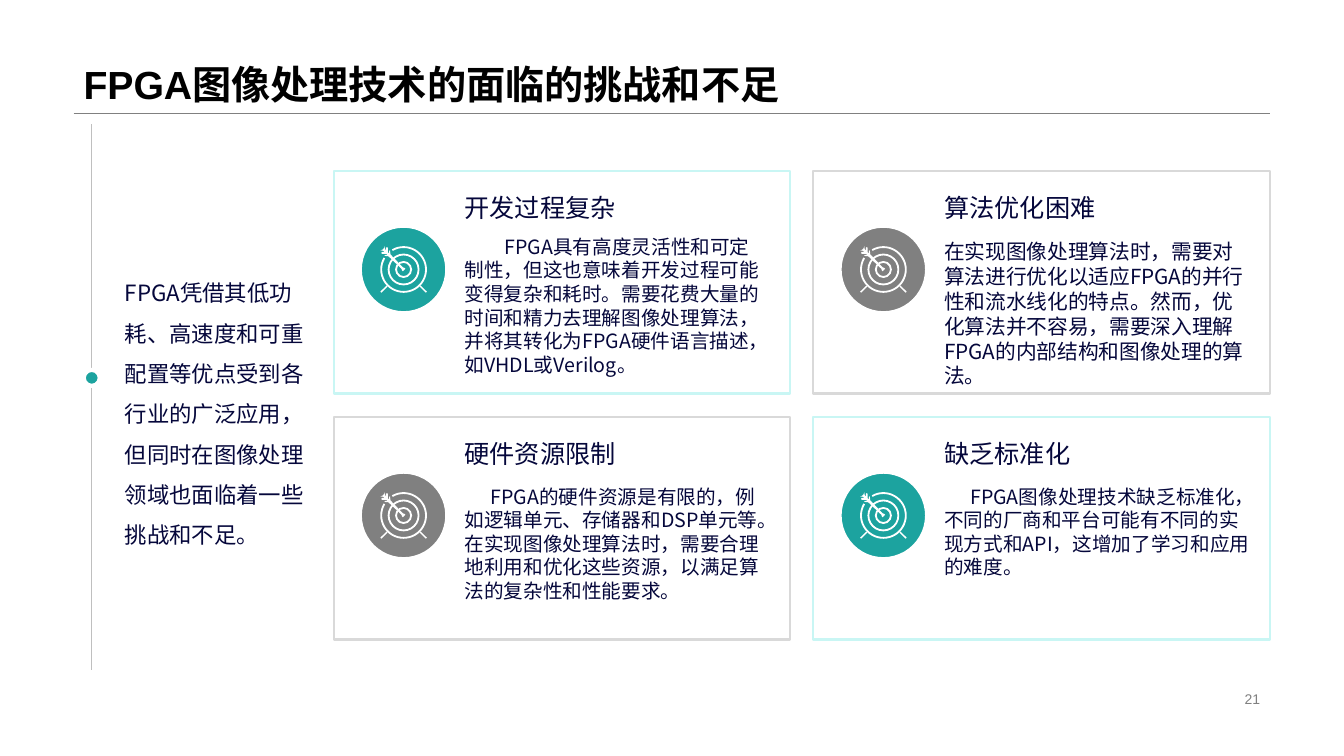
"""Build the slide on the challenges of FPGA image processing."""
from dataclasses import dataclass

from pptx import Presentation
from pptx.dml.color import RGBColor
from pptx.enum.shapes import MSO_CONNECTOR, MSO_SHAPE
from pptx.enum.text import MSO_ANCHOR, PP_ALIGN
from pptx.oxml.ns import qn
from pptx.slide import Slide
from pptx.util import Pt

RECTANGLE, OVAL, ARC = MSO_SHAPE.RECTANGLE, MSO_SHAPE.OVAL, MSO_SHAPE.ARC
STRAIGHT = MSO_CONNECTOR.STRAIGHT
TOP, MIDDLE, BOTTOM = MSO_ANCHOR.TOP, MSO_ANCHOR.MIDDLE, MSO_ANCHOR.BOTTOM
LEFT, RIGHT = PP_ALIGN.LEFT, PP_ALIGN.RIGHT

Point = tuple[float, float]


@dataclass(frozen=True)
class Theme:
    latin: str = "Arial"
    chinese: str = "Noto Sans CJK SC"
    white: str = "FFFFFF"
    black: str = "000000"
    navy: str = "05073B"
    teal: str = "1CA39F"
    mint: str = "C9F6F4"
    gray: str = "808080"
    silver: str = "D9D9D9"
    rail: str = "BFBFBF"
    title_size: float = 28
    heading_size: float = 18
    intro_size: float = 16
    body_size: float = 14
    large_body_size: float = 14.8
    number_size: float = 10


@dataclass(frozen=True)
class TextStyle:
    font: str
    size: float
    color: str
    bold: bool = False
    spacing: float | Pt = 1.0
    indent: float = 0
    align: PP_ALIGN = LEFT
    anchor: MSO_ANCHOR = TOP


@dataclass(frozen=True)
class Card:
    column: int
    row: int
    heading: str
    body: str
    accent: str
    border: str
    body_size: float
    body_top: float
    indent: float


@dataclass(frozen=True)
class Ring:
    radius: float
    start: float
    end: float


THEME = Theme()
CARD_LEFT, CARD_TOP = 238.3, 122.1
CARD_WIDTH, CARD_HEIGHT = 326, 159
COLUMN_STEP, ROW_STEP = 342.7, 175.7
TEXT_OFFSET = 86.4
BADGE_SIZE = 62.6

CARDS = [
    Card(0, 0, "开发过程复杂",
         "FPGA具有高度灵活性和可定制性，但这也意味着开发过程可能变得复杂和耗时。需要花费大量的时间和精力"
         "去理解图像处理算法，并将其转化为FPGA硬件语言描述，如VHDL或Verilog。",
         THEME.teal, THEME.mint, THEME.body_size, 42.1, 28.6),
    Card(1, 0, "算法优化困难",
         "在实现图像处理算法时，需要对算法进行优化以适应FPGA的并行性和流水线化的特点。然而，优化算法并不容易，"
         "需要深入理解FPGA的内部结构和图像处理的算法。",
         THEME.gray, THEME.silver, THEME.large_body_size, 44.9, 0),
    Card(0, 1, "硬件资源限制",
         "FPGA的硬件资源是有限的，例如逻辑单元、存储器和DSP单元等。在实现图像处理算法时，需要合理地利用和优化"
         "这些资源，以满足算法的复杂性和性能要求。",
         THEME.gray, THEME.silver, THEME.body_size, 44.9, 18.6),
    Card(1, 1, "缺乏标准化",
         "FPGA图像处理技术缺乏标准化，不同的厂商和平台可能有不同的实现方式和API，这增加了学习和应用的难度。",
         THEME.teal, THEME.mint, THEME.body_size, 44.9, 18.6),
]

RINGS = [Ring(16, 240, 211), Ring(10.7, 229, 221), Ring(5.4, 233, 217)]
ARROW_HALF: list[Point] = [
    (-14.1, -15.1), (-13.7, -16.6), (-13.3, -14.4), (-12.6, -13.7), (-12.6, -15.5),
    (-11.9, -15.9), (-11.2, -15.5), (-11.2, -12.2), (-10.4, -11.5), (-10.4, -13.3),
    (-9.7, -13.7), (-9.4, -10.8), (-0.5, -1.5), (0.5, -1.2), (1.3, -0.5),
]
RIGHT_LEG: list[Point] = [(11.5, 12.2), (12.2, 11.5), (16.6, 15.8), (15.9, 16.6)]


def chinese_style(size: float, indent: float = 0, lines: float = 1) -> TextStyle:
    return TextStyle(THEME.chinese, size, THEME.navy, spacing=Pt(size * 1.2 * lines), indent=indent)


def add_text(slide: Slide, text: str, left: float, top: float, width: float,
             height: float, style: TextStyle) -> None:
    box = slide.shapes.add_textbox(Pt(left), Pt(top), Pt(width), Pt(height))
    frame = box.text_frame
    frame.text = text
    frame.word_wrap = True
    frame.vertical_anchor = style.anchor
    para = frame.paragraphs[0]
    para.alignment = style.align
    para.line_spacing = style.spacing
    if style.indent:
        para._p.get_or_add_pPr().set("indent", str(Pt(style.indent)))
    span = para.runs[0]
    span.font.name = style.font
    span.font.size = Pt(style.size)
    span.font.bold = style.bold
    span.font.color.rgb = RGBColor.from_string(style.color)
    properties = span._r.get_or_add_rPr()
    properties.set("lang", "zh-CN")
    east_asian = properties.makeelement(qn("a:ea"), {"typeface": style.font})
    properties.find(qn("a:latin")).addnext(east_asian)


def add_box(slide: Slide, kind: MSO_SHAPE, left: float, top: float, width: float,
            height: float, fill: str, border: str, weight: float) -> None:
    shape = slide.shapes.add_shape(kind, Pt(left), Pt(top), Pt(width), Pt(height))
    shape.shadow.inherit = False
    shape.fill.solid()
    shape.fill.fore_color.rgb = RGBColor.from_string(fill)
    shape.line.color.rgb = RGBColor.from_string(border)
    shape.line.width = Pt(weight)


def add_rule(slide: Slide, start: Point, end: Point, color: str) -> None:
    rule = slide.shapes.add_connector(STRAIGHT, *(Pt(value) for value in start + end))
    rule.line.color.rgb = RGBColor.from_string(color)
    rule.line.width = Pt(0.25)
    properties = rule._element.spPr
    properties.append(properties.makeelement(qn("a:effectLst"), {}))


def add_ring(slide: Slide, ring: Ring, center_x: float, center_y: float) -> None:
    size = Pt(2 * ring.radius)
    shape = slide.shapes.add_shape(ARC, Pt(center_x - ring.radius), Pt(center_y - ring.radius),
                                   size, size)
    shape.adjustments[0] = ring.start * 0.6
    shape.adjustments[1] = ring.end * 0.6
    shape.shadow.inherit = False
    shape.fill.background()
    shape.line.color.rgb = RGBColor.from_string(THEME.white)
    shape.line.width = Pt(1.3)


def add_target(slide: Slide, center_x: float, center_y: float) -> None:
    for ring in RINGS:
        add_ring(slide, ring, center_x, center_y)
    arrow = ARROW_HALF + [(y, x) for x, y in reversed(ARROW_HALF)]
    left_leg = [(-x, y) for x, y in RIGHT_LEG]
    contours = [[(Pt(center_x + x), Pt(center_y + y)) for x, y in contour]
                for contour in (arrow, RIGHT_LEG, left_leg)]
    builder = slide.shapes.build_freeform(*contours[0][0], scale=1.0)
    for index, contour in enumerate(contours):
        if index:
            builder.move_to(*contour[0])
        builder.add_line_segments(contour[1:], close=True)
    shape = builder.convert_to_shape()
    shape.shadow.inherit = False
    shape.fill.solid()
    shape.fill.fore_color.rgb = RGBColor.from_string(THEME.white)
    shape.line.fill.background()


def add_card(slide: Slide, card: Card) -> None:
    left = CARD_LEFT + card.column * COLUMN_STEP
    top = CARD_TOP + card.row * ROW_STEP
    badge_left, badge_top = left + 18.7, top + 39.1
    add_box(slide, RECTANGLE, left, top, CARD_WIDTH, CARD_HEIGHT, THEME.white, card.border, 1.5)
    add_box(slide, OVAL, badge_left, badge_top, BADGE_SIZE, BADGE_SIZE, card.accent, THEME.white, 3)
    add_target(slide, badge_left + BADGE_SIZE / 2, badge_top + BADGE_SIZE / 2)
    add_text(slide, card.body, left + TEXT_OFFSET, top + card.body_top, 229 + 3.6 * card.column,
             106, chinese_style(card.body_size, card.indent))
    add_text(slide, card.heading, left + TEXT_OFFSET, top + 11.8, 239.6, 34,
             chinese_style(THEME.heading_size))


def main() -> None:
    deck = Presentation()
    deck.slide_width, deck.slide_height = Pt(960), Pt(540)
    page = deck.slides.add_slide(deck.slide_layouts[6])
    add_rule(page, (52.6, 80.8), (907.2, 80.8), THEME.gray)
    add_text(page, "FPGA图像处理技术的面临的挑战和不足", 52.6, 0, 854.6, 80.8,
             TextStyle(THEME.latin, THEME.title_size, THEME.black, True, 0.9, anchor=BOTTOM))
    add_text(page, "21", 678.2, 491, 229, 16.6,
             TextStyle(THEME.latin, THEME.number_size, THEME.gray, align=RIGHT, anchor=MIDDLE))
    for card in CARDS:
        add_card(page, card)
    add_text(page, "FPGA凭借其低功耗、高速度和可重配置等优点受到各行业的广泛应用，"
             "但同时在图像处理领域也面临着一些挑战和不足。",
             82.1, 186.5, 149, 222.5, chinese_style(THEME.intro_size, lines=1.5))
    add_rule(page, (65.5, 88.6), (65.5, 478.8), THEME.rail)
    add_box(page, OVAL, 59.8, 264.2, 11.5, 11.5, THEME.teal, THEME.white, 3)
    deck.save("out.pptx")


if __name__ == "__main__":
    main()
